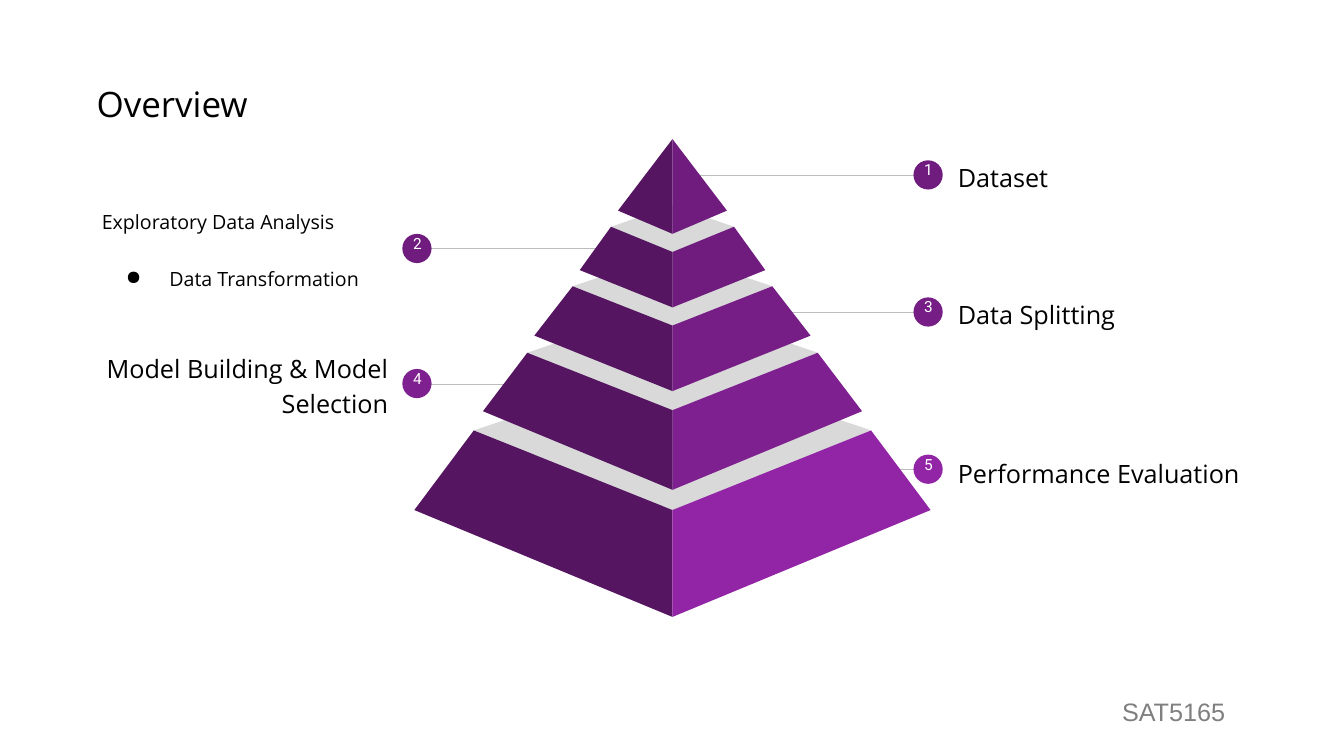
from pptx import Presentation
from pptx.dml.color import RGBColor
from pptx.enum.shapes import MSO_CONNECTOR as Connector, MSO_SHAPE as Shape
from pptx.enum.text import MSO_ANCHOR as Anchor, PP_ALIGN as Align
from pptx.oxml.ns import qn
from pptx.util import Pt
from lxml.etree import SubElement

PX = 9144  # 100 px to the inch
COLORS = {
    "black": "000000", "white": "FFFFFF", "footer": "7F7F7F",
    "line": "BDBDBD", "cap": "D9D9D9", "shade": "551561",
    "plum": "701C7F", "violet": "761E86", "purple": "7F2090", "orchid": "9225A5",
}

deck = Presentation()
deck.slide_width, deck.slide_height = 1333 * PX, 750 * PX
page = deck.slides.add_slide(deck.slide_layouts[6])


def paint(shape, color):
    shape.fill.solid()
    shape.fill.fore_color.rgb = RGBColor.from_string(COLORS[color])
    shape.line.fill.background()
    shape.shadow.inherit = False


def add_text(bounds, lines, font, size, color, align=Align.LEFT, inset=13,
             anchor=Anchor.TOP, spacing=None, after=None):
    box = page.shapes.add_textbox(*[length * PX for length in bounds])
    frame = box.text_frame
    frame.text = "\n".join(lines)
    frame.word_wrap = True
    frame.vertical_anchor = anchor
    frame.margin_left = frame.margin_right = inset * PX
    frame.margin_top = frame.margin_bottom = inset * PX
    for para in frame.paragraphs:
        para.alignment = align
        para.line_spacing = spacing
        para.space_after = after
        for span in para.runs:
            span.font.name = font
            span.font.size = Pt(size)
            span.font.color.rgb = RGBColor.from_string(COLORS[color])
    return frame


# Callouts: side, pyramid end of the line, line y, label top, badge colour, size, label
callouts = [
    ("right", 690, 174, 119, "plum", 18, ["Dataset"]),
    ("left", 594, 247, 192, "plum", 14, ["Exploratory Data Analysis", "Data Transformation"]),
    ("right", 768, 310, 255, "violet", 18, ["Data Splitting"]),
    ("left", 529, 381, 326, "purple", 18, ["Model Building & Model Selection"]),
    ("right", 842, 466, 413, "orchid", 18, ["Performance Evaluation"]),
]
sides = {"left": (405, 399, 88), "right": (931, 906, 937)}
for number, (side, start, y, label_top, color, size, lines) in enumerate(callouts, 1):
    line_end, badge_left, label_left = sides[side]
    line = page.shapes.add_connector(
        Connector.STRAIGHT, start * PX, y * PX, line_end * PX, y * PX)
    line.line.color.rgb = RGBColor.from_string(COLORS["line"])
    line.line.width = Pt(0.75)
    SubElement(line._element.spPr, qn("a:effectLst"))

    badge = page.shapes.add_shape(
        Shape.OVAL, badge_left * PX, (y - 15) * PX, 29 * PX, 29 * PX)
    paint(badge, color)
    add_text((badge_left - 3, y - 24, 36, 46), [str(number)], "Roboto", 11, "white",
             Align.CENTER, after=Pt(21))

    listed = len(lines) > 1
    align = Align.RIGHT if side == "left" and not listed else Align.LEFT
    label = add_text((label_left, label_top, 310, 109), lines, "Open Sans", size, "black",
                     align, anchor=Anchor.MIDDLE, spacing=1.15,
                     after=Pt(0 if listed else 21))
    for para in label.paragraphs[1:]:
        para.space_before = Pt(21)
        props = para._p.get_or_add_pPr()
        props.set("marL", str(67 * PX))
        props.set("indent", str(-43 * PX))
        bullet_color = SubElement(props, qn("a:buClr"))
        SubElement(bullet_color, qn("a:srgbClr")).set("val", COLORS["black"])
        SubElement(props, qn("a:buChar")).set("char", "●")

# Pyramid tiers from the base up: cap peak y, shoulder half-width and y, inner y,
# foot half-width and y, tip y, colour of the lit face
CENTER = 667
tiers = [
    (361, 197, 427, 506, 256, 506, 612, "orchid"),
    (301, 144, 350, 407, 188, 408, 486, "purple"),
    (251, 99, 284, 323, 137, 333, 388, "violet"),
    (204, 61, 225, 250, 92, 268, 305, "plum"),
    (138, 0, 138, 138, 54, 209, 232, "plum"),
]
for peak, shoulder, shoulder_y, inner_y, foot, foot_y, tip_y, lit in tiers:
    faces = []
    if shoulder:
        faces.append(("cap", [(CENTER - shoulder, shoulder_y), (CENTER, inner_y + 1),
                              (CENTER + shoulder, shoulder_y), (CENTER, peak)]))
    for sign, color in ((-1, "shade"), (1, lit)):
        faces.append((color, [(CENTER + sign * shoulder, shoulder_y), (CENTER, inner_y),
                              (CENTER, tip_y), (CENTER + sign * foot, foot_y)]))
    for color, points in faces:
        outline = page.shapes.build_freeform(*points[0], scale=PX)
        outline.add_line_segments(points[1:], close=True)
        paint(outline.convert_to_shape(), color)

# Title and footer
add_text((86, 72, 297, 62), ["Overview"], "Open Sans", 25, "black", inset=10)
add_text((897, 681, 328, 50), ["SAT5165"], "Arial", 18, "footer", Align.RIGHT, inset=10)

deck.save("out.pptx")
